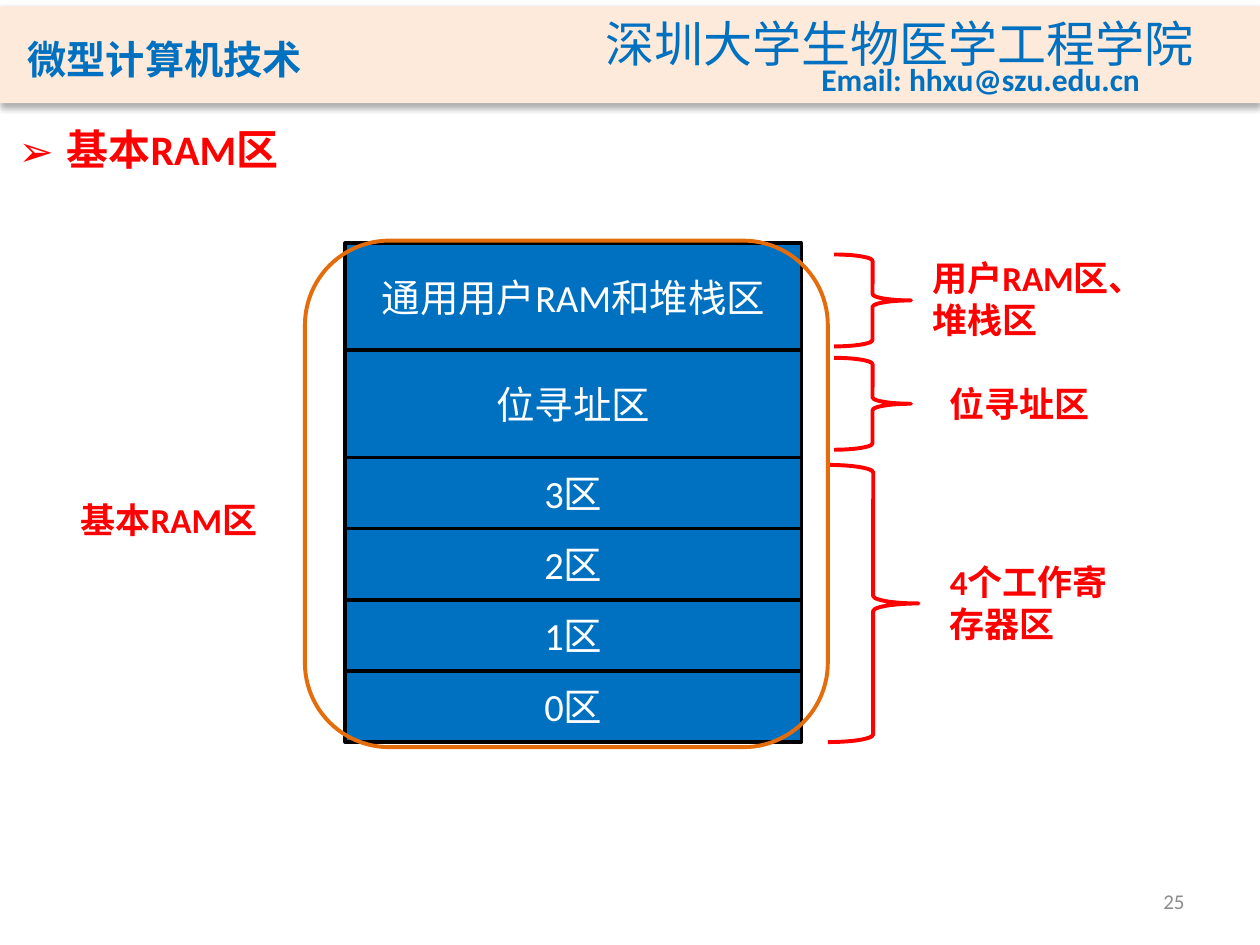
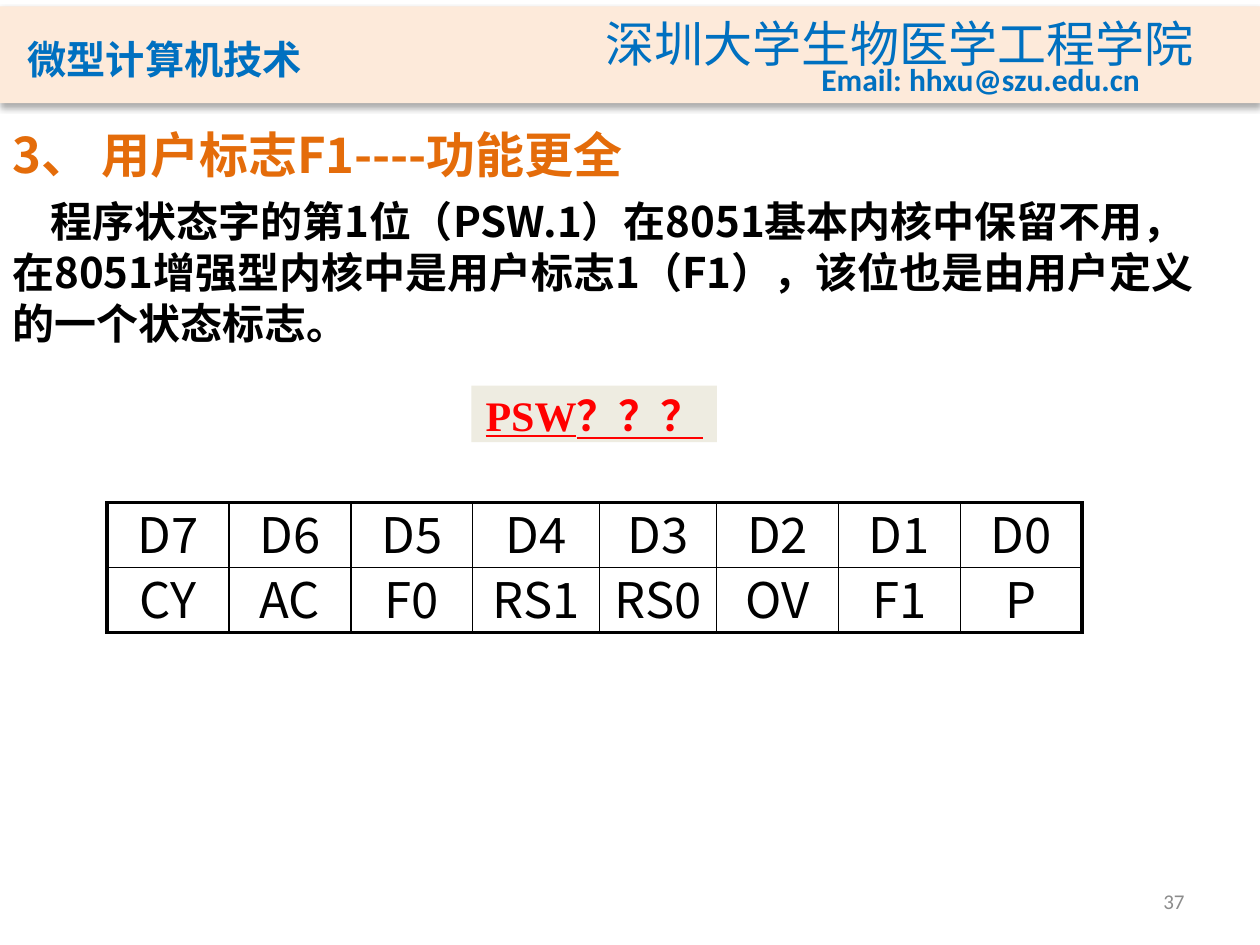
"""Build two slides on the basic RAM area and the PSW flags."""
from dataclasses import dataclass, field
from itertools import accumulate

from lxml.etree import SubElement as Sub
from pptx import Presentation
from pptx.dml.color import RGBColor as Rgb
from pptx.enum.shapes import MSO_SHAPE as Kind
from pptx.enum.text import MSO_ANCHOR as Anchor, PP_ALIGN as Align
from pptx.oxml.ns import qn
from pptx.util import Inches, Pt

HUE = {"band": "FDEADA", "blue": "0070C0", "red": "FF0000", "orange": "E46C0A",
       "black": "000000", "white": "FFFFFF", "gray": "8C8C8C", "sand": "EEECE1"}
LATIN, HAN, HEAD, SERIF = ("Calibri", "Noto Sans CJK SC", "Noto Sans CJK JP",
                           "Times New Roman")
Box = tuple[float, float, float, float]


@dataclass
class Style:
    size: float
    hue: str
    face: str = LATIN
    font: dict = field(default_factory=dict)
    para: dict = field(default_factory=dict)
    frame: dict = field(default_factory=dict)
    asian: str = ""


@dataclass
class Label:
    text: str
    box: Box
    style: Style


BOLD = {"bold": True}
LOOSE = {"word_wrap": False}
NOTE = Style(20, "red", font=BOLD)
TOPIC = Style(24, "red", font=BOLD)
CELL = Style(22, "white", para={"alignment": Align.CENTER},
             frame={"vertical_anchor": Anchor.MIDDLE})
COURSE = Style(28, "blue", HEAD, BOLD, frame={"vertical_anchor": Anchor.BOTTOM})
SCHOOL = Style(28, "blue", HAN, para={"line_spacing": Pt(34)}, frame=LOOSE)
MAIL = Style(18, "blue", font=BOLD, frame=LOOSE)
PAGE = Style(12, "gray", para={"alignment": Align.RIGHT},
             frame={"vertical_anchor": Anchor.MIDDLE})
TITLE = Style(28, "orange", HAN, BOLD, {"line_spacing": 0.95},
              {"vertical_anchor": Anchor.MIDDLE})
BODY = Style(24, "black", HAN, BOLD, {"line_spacing": Pt(29)})
QUIZ = Style(24, "red", SERIF, BOLD | {"underline": True}, {"line_spacing": Pt(31)},
             LOOSE | {"margin_top": 0, "vertical_anchor": Anchor.TOP}, HAN)
BIT = Style(28, "black", HAN, para={"alignment": Align.CENTER, "line_spacing": Pt(37)})

HEADER = [
    Label("微型计算机技术", (0.12, 0.16, 3.39, 0.56), COURSE),
    Label("深圳大学生物医学工程学院", (4.71, 0.05, 4.91, 0.57), SCHOOL),
    Label("Email: hhxu@szu.edu.cn", (6.42, 0.43, 2.75, 0.4), MAIL),
]
NOTES = [
    Label("4个工作寄存器区", (7.44, 4.4, 1.59, 0.77), NOTE),
    Label("位寻址区", (7.44, 2.99, 1.59, 0.44), NOTE),
    Label("用户RAM区、堆栈区", (7.3, 1.99, 1.9, 0.77), NOTE),
    Label("基本RAM区", (0.54, 3.91, 1.62, 0.44), NOTE),
]
BRACES = [(6.57, 3.69, 0.72, 2.2), (6.62, 2.84, 0.61, 0.73), (6.62, 2.02, 0.61, 0.73)]
ZONES = [("通用用户RAM和堆栈区", 0.85), ("位寻址区", 0.85),
         *((f"{n}区", 0.565) for n in (3, 2, 1, 0))]
BITS = [[f"D{n}" for n in range(7, -1, -1)],
        ["CY", "AC", "F0", "RS1", "RS0", "OV", "F1", "P"]]
WIDTHS = [0.97, 0.97, 0.97, 1.01, 0.93, 0.97, 0.97, 0.97]
SPAN = 7.74


def apply(item, values: dict) -> None:
    """Set each named attribute on the item."""
    for name, value in values.items():
        setattr(item, name, value)


def write(frame, text: str, style: Style):
    """Fill a text frame with one styled paragraph and return it."""
    apply(frame, {"word_wrap": True} | style.frame)
    para = frame.paragraphs[0]
    apply(para, style.para)
    para._p.get_or_add_pPr().set("hangingPunct", "0")
    run = para.add_run()
    run.text = text
    apply(run.font, {"size": Pt(style.size), "name": style.face} | style.font)
    run.font.color.rgb = Rgb.from_string(HUE[style.hue])
    Sub(run.font._element, qn("a:ea"), typeface=style.asian or style.face)
    return para


def put(slide, label: Label):
    """Add a text box and return its paragraph."""
    shape = slide.shapes.add_textbox(*map(Inches, label.box))
    return write(shape.text_frame, label.text, label.style)


def draw(slide, kind: Kind, box: Box, fill: str = "", line: str = "", width: float = 2.25):
    """Add a preset shape with an optional fill and line."""
    shape = slide.shapes.add_shape(kind, *map(Inches, box))
    shape.shadow.inherit = False
    for part, hue in ((shape.fill, fill), (shape.line.fill, line)):
        if hue:
            part.solid()
            part.fore_color.rgb = Rgb.from_string(HUE[hue])
        else:
            part.background()
    if line:
        shape.line.width = Pt(width)
    return shape


def start(deck, page: int):
    """Add a slide with the shared header and page number."""
    slide = deck.slides.add_slide(deck.slide_layouts[6])
    band = draw(slide, Kind.RECTANGLE, (0, 0.05, 10, 0.77), "band")
    effects = band._element.spPr.find(qn("a:effectLst"))
    shade = Sub(effects, qn("a:outerShdw"), blurRad=str(Pt(3.5)), dist=str(Pt(2.2)),
                dir="5400000", rotWithShape="0")
    Sub(Sub(shade, qn("a:srgbClr"), val=HUE["black"]), qn("a:alpha"), val="32000")
    for label in HEADER:
        para = put(slide, label)
        if label.style is COURSE:
            para.runs[0].font._element.set("cap", "small")
    put(slide, Label(str(page), (7.17, 6.95, 2.33, 0.4), PAGE))
    return slide


def indent(para, left: float, first: float):
    """Set the paragraph indents and return its properties."""
    props = para._p.get_or_add_pPr()
    props.set("marL", str(Inches(left)))
    props.set("indent", str(Inches(first)))
    return props


def ram(deck) -> None:
    """Build the slide of the basic RAM area."""
    slide = start(deck, 25)
    for box in BRACES:
        draw(slide, Kind.RIGHT_BRACE, box, line="red")
    for label in NOTES:
        put(slide, label)
    para = put(slide, Label("基本RAM区", (0.05, 0.93, 2.28, 0.5), TOPIC))
    props = indent(para, 0.38, -0.38)
    Sub(props, qn("a:buFont"), typeface=HAN)
    Sub(props, qn("a:buChar"), char="➢")
    tops = accumulate((high for _, high in ZONES), initial=1.93)
    for (text, high), top in zip(ZONES, tops):
        zone = draw(slide, Kind.RECTANGLE, (2.74, top, 3.62, high), "blue", "black", 2)
        write(zone.text_frame, text, CELL)
    draw(slide, Kind.ROUNDED_RECTANGLE, (2.42, 1.91, 4.15, 4.02), line="orange")


def edge(cell, sides: dict[str, float]) -> None:
    """Draw the borders of a table cell."""
    props = cell._tc.get_or_add_tcPr()
    for side, width in sides.items():
        line = Sub(props, qn(f"a:ln{side}"), w=str(Pt(width)))
        Sub(Sub(line, qn("a:solidFill")), qn("a:srgbClr"), val=HUE["black"])


def grid(slide) -> None:
    """Add the table of PSW bits."""
    rows, cols = len(BITS), len(WIDTHS)
    table = slide.shapes.add_table(rows, cols, *map(Inches, (0.85, 3.99, SPAN, 1.03))).table
    apply(table, {"first_row": False, "horz_banding": False})
    for col, width in zip(table.columns, WIDTHS):
        col.width = Inches(width * SPAN / sum(WIDTHS))
    for r, names in enumerate(BITS):
        for c, name in enumerate(names):
            cell = table.cell(r, c)
            apply(cell, {"margin_left": Inches(0.05), "margin_right": Inches(0.05),
                         "margin_top": 0, "margin_bottom": 0})
            write(cell.text_frame, name, BIT)
            outer = {"L": c == 0, "R": c == cols - 1, "T": r == 0, "B": r == rows - 1}
            edge(cell, {side: 2.25 if out else 1 for side, out in outer.items()})
            cell.fill.background()


def flags(deck) -> None:
    """Build the slide of the user flag F1."""
    slide = start(deck, 37)
    put(slide, Label("3、 用户标志F1----功能更全", (0, 0.99, 5.61, 0.51), TITLE))
    text = ("程序状态字的第1位（PSW.1）在8051基本内核中保留不用，"
            "在8051增强型内核中是用户标志1（F1），该位也是由用户定义的一个状态标志。")
    indent(put(slide, Label(text, (0, 1.5, 9.72, 1.39), BODY)), 0, 0.3)
    quiz = draw(slide, Kind.RECTANGLE, (3.74, 3.06, 1.95, 0.45), "sand")
    write(quiz.text_frame, "PSW？？？", QUIZ)
    grid(slide)


def main() -> None:
    """Build and save the deck."""
    deck = Presentation()
    apply(deck, {"slide_width": Inches(10), "slide_height": Inches(7.5)})
    ram(deck)
    flags(deck)
    deck.save("out.pptx")


if __name__ == "__main__":
    main()
